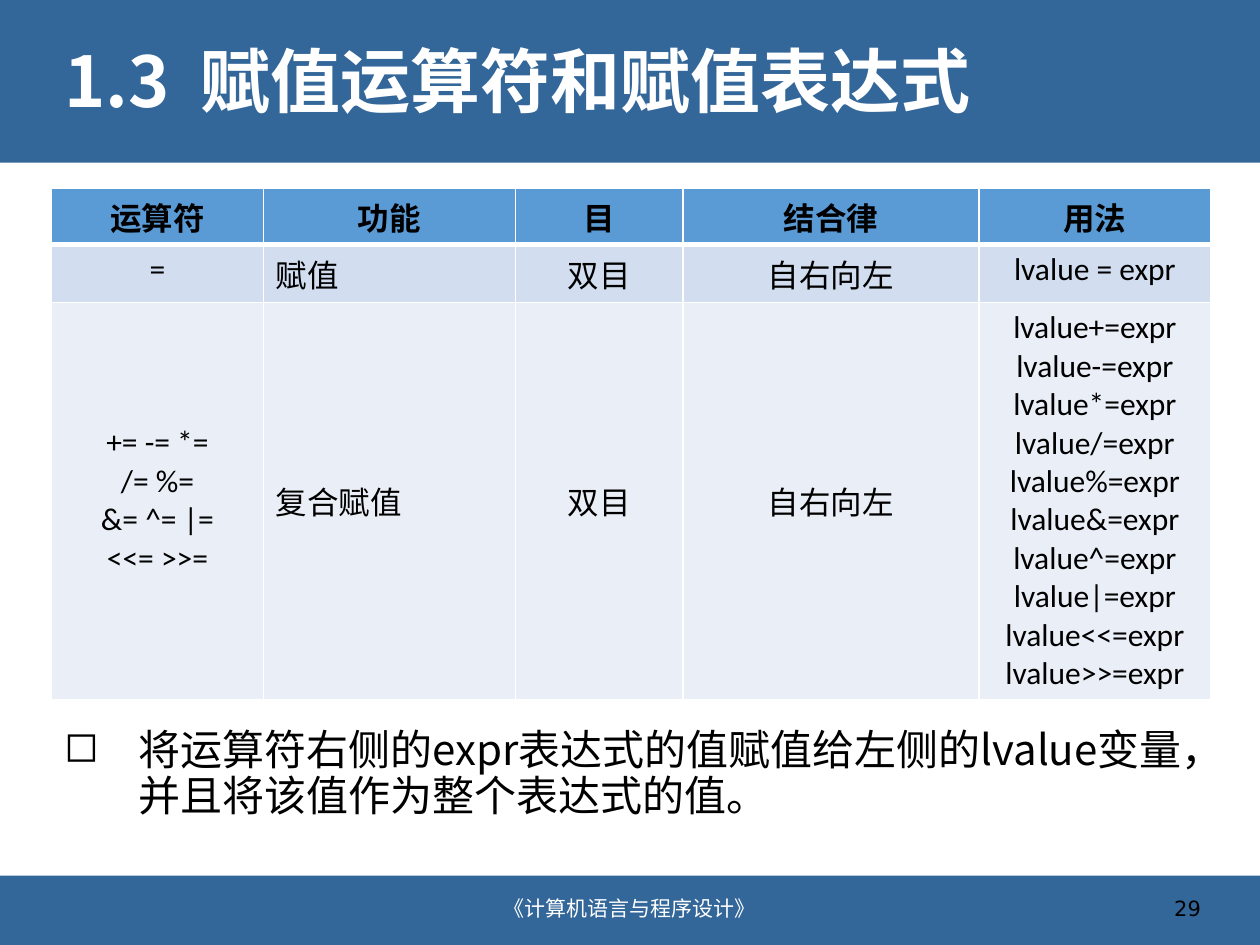
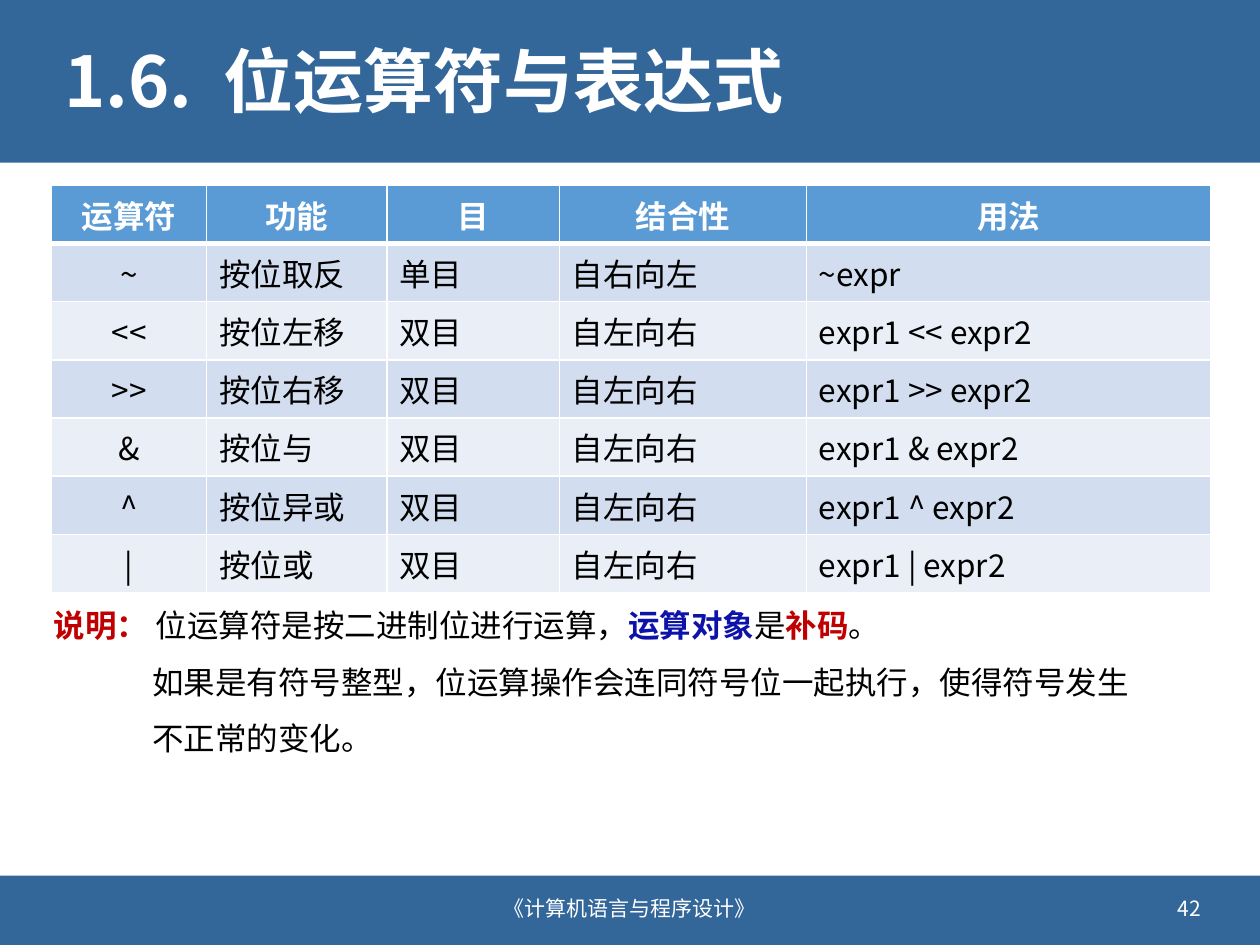
from lxml import etree
from pptx import Presentation
from pptx.dml.color import RGBColor
from pptx.enum.shapes import MSO_SHAPE
from pptx.enum.text import MSO_ANCHOR, PP_ALIGN
from pptx.oxml.ns import qn
from pptx.util import Inches, Pt

LEFT, MID, RIGHT = PP_ALIGN.LEFT, PP_ALIGN.CENTER, PP_ALIGN.RIGHT
TOP, CENTER = MSO_ANCHOR.TOP, MSO_ANCHOR.MIDDLE
RECT = MSO_SHAPE.RECTANGLE

COLORS = {
    "band": "336699", "head": "5B9BD5", "odd": "D2DEEF", "even": "EAEFF7",
    "white": "FFFFFF", "black": "000000", "red": "C00000", "blue": "0D13A9",
}
CJK, LATIN, PLAIN = "Noto Sans CJK SC", "Calibri", "DejaVu Sans"
COLS, ROWS = 100, 75  # grid of the whole slide
COURSE = "《计算机语言与程序设计》"


def rgb(name):
    return RGBColor.from_string(COLORS[name])


def add_run(para, text, size=18, font=CJK, color="black", bold=False, track=0):
    """Add text to a paragraph; track is extra letter spacing in points."""
    run = para.add_run()
    run.text = text
    run.font.size, run.font.name, run.font.bold = Pt(size), font, bold
    run.font.color.rgb = rgb(color)
    props = run.font._element
    etree.SubElement(props, qn("a:ea")).set("typeface", CJK)
    if track:
        props.set("spc", str(track * 100))


def write(frame, lines, align=LEFT, space=None, **style):
    """Fill a frame; a line is a string or a list of (text, format) runs."""
    for i, line in enumerate(lines):
        para = frame.paragraphs[0] if i == 0 else frame.add_paragraph()
        para.alignment = align
        if space:
            para.line_spacing = space
        runs = [(line, {})] if isinstance(line, str) else line
        for text, extra in runs:
            add_run(para, text, **{**style, **extra})


def indent(para, left, first=0, bullet=None):
    props = para._p.get_or_add_pPr()
    props.set("marL", str(Inches(left)))
    props.set("indent", str(Inches(first)))
    if bullet:
        tint = etree.SubElement(props, qn("a:buClr"))
        etree.SubElement(tint, qn("a:srgbClr")).set("val", COLORS["black"])
        etree.SubElement(props, qn("a:buChar")).set("char", bullet)


def edge(cell, **widths):
    """Draw white cell borders; widths are points by side."""
    props = cell._tc.get_or_add_tcPr()
    for side in "LRTB":
        line = etree.SubElement(props, qn("a:ln" + side))
        line.set("w", str(Pt(widths.get(side, 1))))
        fill = etree.SubElement(line, qn("a:solidFill"))
        etree.SubElement(fill, qn("a:srgbClr")).set("val", COLORS["white"])


class Deck:
    def __init__(self):
        self.prs = Presentation()
        self.prs.slide_width, self.prs.slide_height = Inches(10), Inches(7.5)
        self.slide = None

    def x(self, cols):
        return round(self.prs.slide_width * cols / COLS)

    def y(self, rows):
        return round(self.prs.slide_height * rows / ROWS)

    def place(self, left, top, wide, high):
        return self.x(left), self.y(top), self.x(wide), self.y(high)

    def band(self, top, high):
        shape = self.slide.shapes.add_shape(RECT, *self.place(0, top, COLS, high))
        shape.shadow.inherit = False
        shape.fill.solid()
        shape.fill.fore_color.rgb = rgb("band")
        shape.line.fill.background()

    def text(self, spot, lines, anchor=TOP, **style):
        frame = self.slide.shapes.add_textbox(*self.place(*spot)).text_frame
        frame.word_wrap = True
        frame.vertical_anchor = anchor
        write(frame, lines, **style)
        return frame.paragraphs

    def page(self, mark, title, number, **style):
        """Start a slide with its bands, title and footer."""
        self.slide = self.prs.slides.add_slide(self.prs.slide_layouts[6])
        self.band(0, 12.9)
        self.band(69.5, 5.5)
        name = [(mark, {}), (" ", {"track": 9}), (title, {})]
        self.text((4.1, 1.8, 91.9, 9.9), [name], CENTER, space=0.9,
                  size=40, color="white", bold=True)
        self.text((32, 70.1, 36, 4), [COURSE], CENTER, align=MID,
                  size=12, color="white")
        self.text((72.3, 70.1, 24, 4), [number], CENTER, align=RIGHT,
                  size=12, **style)

    def table(self, top, cols, rows, data, aligns, ink, font, anchors):
        spot = self.place(4.1, top, sum(cols), sum(rows))
        grid = self.slide.shapes.add_table(len(rows), len(cols), *spot).table
        for col, wide in zip(grid.columns, cols):
            col.width = self.x(wide)
        for r, (high, texts) in enumerate(zip(rows, data)):
            grid.rows[r].height = self.y(high)
            head = r == 0
            tone = "head" if head else ("odd" if r % 2 else "even")
            for c, text in enumerate(texts):
                cell = grid.cell(r, c)
                edge(cell, T=3 if r == 1 else 1, B=3 if head else 1)
                cell.fill.solid()
                cell.fill.fore_color.rgb = rgb(tone)
                cell.vertical_anchor = anchors.get((r, c), TOP)
                write(cell.text_frame, text.split("\n"),
                      align=MID if head else aligns[c], bold=head,
                      color=ink if head else "black",
                      font=CJK if head else font)


def assign(deck):
    deck.page("1.3", "赋值运算符和赋值表达式", "29", font=PLAIN)
    signs = ["+= -= *=", "/= %=", "&= ^= |=", "<<= >>="]
    uses = [f"lvalue{sign}expr" for sign in " ".join(signs).split()]
    data = [
        ["运算符", "功能", "目", "结合律", "用法"],
        ["=", "赋值", "双目", "自右向左", "lvalue = expr"],
        ["\n".join(signs), "复合赋值", "双目", "自右向左", "\n".join(uses)],
    ]
    deck.table(14.9, [16.8, 20, 13.3, 23.5, 18.4], [4.5, 4.6, 31.5], data,
               [MID, LEFT, MID, MID, MID], "black", LATIN,
               {(2, c): CENTER for c in range(4)})
    note = "将运算符右侧的expr表达式的值赋值给左侧的lvalue变量，并且将该值作为整个表达式的值。"
    paras = deck.text((4.1, 57.3, 91.9, 10.6), [note], size=24, space=0.92)
    indent(paras[0], 0.59, -0.59, "◻")


def bits(deck):
    deck.page("1.6.", "位运算符与表达式", "42", color="white")
    names = {"<<": "按位左移", ">>": "按位右移", "&": "按位与",
             "^": "按位异或", "|": "按位或"}
    data = [
        ["运算符", "功能", "目", "结合性", "用法"],
        ["~", "按位取反", "单目", "自右向左", "~expr"],
    ] + [[sign, name, "双目", "自左向右", f"expr1 {sign} expr2"]
         for sign, name in names.items()]
    deck.table(14.7, [12.3, 14.3, 13.7, 19.6, 32.1], [4.62] * len(data), data,
               [MID] + [LEFT] * 4, "white", CJK, {})
    red = {"color": "red", "bold": True}
    blue = {"color": "blue", "bold": True}
    lines = [
        [("说明： ", red), ("位运算符是按二进制位进行运算，", {}),
         ("运算对象", blue), ("是", {}), ("补码", red), ("。", {})],
        "如果是有符号整型，位运算操作会连同符号位一起执行，使得符号发生不正常的变化。",
    ]
    paras = deck.text((3.3, 46.1, 89.3, 14.1), lines, space=1.5)
    indent(paras[1], 0.78)


def main():
    deck = Deck()
    assign(deck)
    bits(deck)
    deck.prs.save("out.pptx")


if __name__ == "__main__":
    main()
